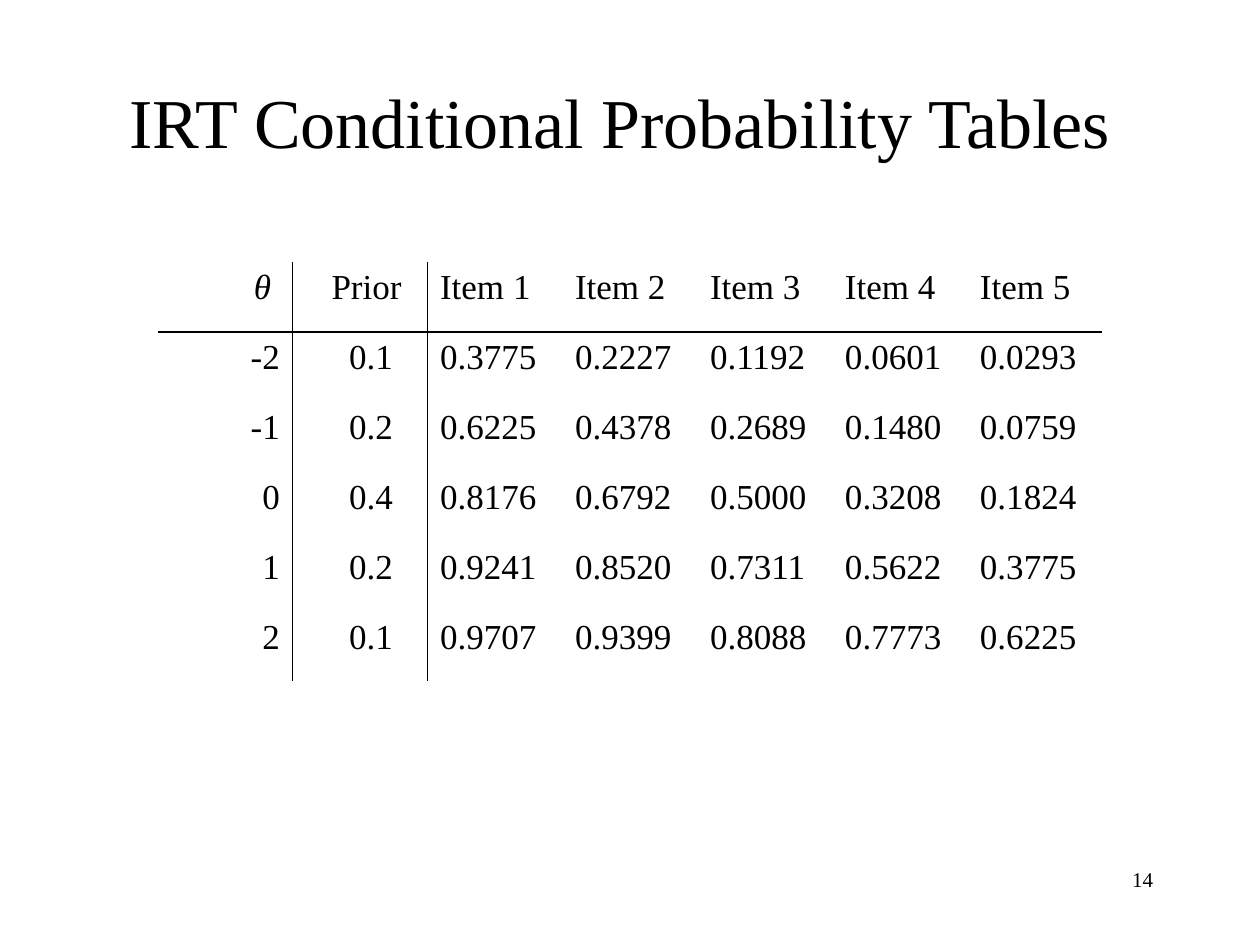
"""Build a slide with a table of IRT conditional probabilities."""
import pptx
import pptx.enum.text
import pptx.oxml
import pptx.util
import pptx.dml.color
from pptx.oxml.ns import nsdecls

Inches = pptx.util.Inches
Align = pptx.enum.text.PP_ALIGN
Anchor = pptx.enum.text.MSO_ANCHOR
FONT = "Times New Roman"
COLORS = {"ink": "000000"}
ROWS = [
    ["θ", "Prior", "Item 1", "Item 2", "Item 3", "Item 4", "Item 5"],
    ["-2", "0.1", "0.3775", "0.2227", "0.1192", "0.0601", "0.0293"],
    ["-1", "0.2", "0.6225", "0.4378", "0.2689", "0.1480", "0.0759"],
    ["0", "0.4", "0.8176", "0.6792", "0.5000", "0.3208", "0.1824"],
    ["1", "0.2", "0.9241", "0.8520", "0.7311", "0.5622", "0.3775"],
    ["2", "0.1", "0.9707", "0.9399", "0.8088", "0.7773", "0.6225"],
]


def write(frame, text, size, align, italic=False):
    para = frame.paragraphs[0]
    para.alignment = align
    run = para.add_run()
    run.text = text
    run.font.name = FONT
    run.font.size = pptx.util.Pt(size)
    run.font.italic = italic
    run.font.color.rgb = pptx.dml.color.RGBColor.from_string(COLORS["ink"])


def rule(cell, side, shown):
    fill = "<a:noFill/>"
    if shown:
        fill = f'<a:solidFill><a:srgbClr val="{COLORS["ink"]}"/></a:solidFill>'
    line = f'<a:ln{side} {nsdecls("a")} w="12700">{fill}</a:ln{side}>'
    cell._tc.get_or_add_tcPr().append(pptx.oxml.parse_xml(line))


deck = pptx.Presentation()
deck.slide_width, deck.slide_height = Inches(10), Inches(7.5)
slide = deck.slides.add_slide(deck.slide_layouts[6])

labels = [
    ("14", 12, Align.RIGHT, Anchor.TOP, (7.17, 6.83, 2.08, 0.5)),
    ("IRT Conditional Probability Tables", 40, Align.CENTER, Anchor.MIDDLE,
     (0.67, 0.33, 8.5, 1.25)),
]
for text, size, align, anchor, place in labels:
    frame = slide.shapes.add_textbox(*map(Inches, place)).text_frame
    frame.word_wrap = True
    frame.vertical_anchor = anchor
    write(frame, text, size, align)

place = map(Inches, (1.25, 2.08, 7.5, 3.33))
table = slide.shapes.add_table(len(ROWS), len(ROWS[0]), *place).table
table.first_row = False
table.horz_banding = False

for r, row in enumerate(ROWS):
    for c, text in enumerate(row):
        cell = table.cell(r, c)
        head = r == 0
        edges = {"L": c in (1, 2), "R": c in (0, 1), "T": r == 1, "B": head}
        for side, shown in edges.items():
            rule(cell, side, shown)
        cell.fill.background()
        if c == 1:
            cell.margin_left = Inches(0.31 if head else 0.45)
        if head and c == 0:
            cell.margin_right = Inches(0.17)
        align = Align.RIGHT if c == 0 else Align.LEFT
        write(cell.text_frame, text, 20, align, head and c == 0)

deck.save("out.pptx")
